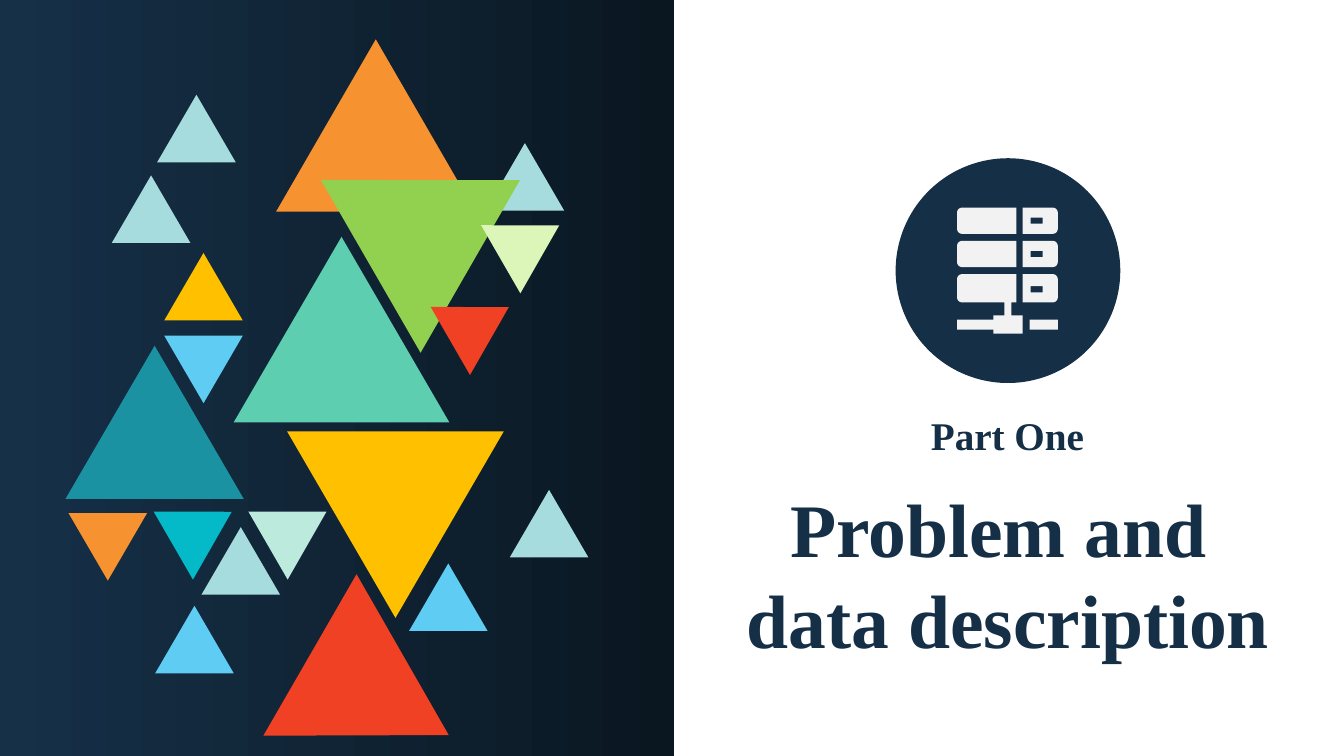
from math import cos, pi, sin
from pptx import Presentation
from pptx.dml.color import RGBColor
from pptx.enum.shapes import MSO_SHAPE
from pptx.enum.text import MSO_ANCHOR, MSO_AUTO_SIZE, PP_ALIGN
from pptx.util import Inches, Pt

NAVY = RGBColor(0x15, 0x2F, 0x47)
PANEL_LEFT = RGBColor(0x16, 0x30, 0x48)
PANEL_RIGHT = RGBColor(0x0A, 0x17, 0x21)
ICON_GREY = RGBColor(0xF2, 0xF2, 0xF2)
MIST = RGBColor(0xA7, 0xDC, 0xDE)
MINT = RGBColor(0xBC, 0xEB, 0xDE)
SEA = RGBColor(0x5D, 0xCE, 0xAF)
TEAL = RGBColor(0x1A, 0x92, 0xA2)
SKY = RGBColor(0x5E, 0xCC, 0xF3)
ORANGE = RGBColor(0xF6, 0x92, 0x30)
GREEN = RGBColor(0x92, 0xD0, 0x50)
LIME = RGBColor(0xDB, 0xF6, 0xB8)
CYAN = RGBColor(0x05, 0xBA, 0xC8)
GOLD = RGBColor(0xFF, 0xC0, 0x00)
RED = RGBColor(0xF1, 0x41, 0x24)


def add_plain(shapes, preset, left, top, width, height, color=None):
    shape = shapes.add_shape(preset, Inches(left), Inches(top), Inches(width), Inches(height))
    shape.shadow.inherit = False
    shape.line.fill.background()
    if color is not None:
        shape.fill.solid()
        shape.fill.fore_color.rgb = color
    return shape


def box_outline(left, top, right, bottom, left_radius=0, right_radius=0):
    """Clockwise points of a box, with optional rounded left or right corners."""
    corners = [(left, top, left_radius, 1, 1), (right, top, right_radius, -1, 1),
               (right, bottom, right_radius, -1, -1), (left, bottom, left_radius, 1, -1)]
    points = []
    for quarter, (x, y, radius, to_right, to_bottom) in enumerate(corners):
        for step in range(7 if radius else 1):
            angle = pi + (quarter + step / 6) * pi / 2
            points.append((x + radius * (to_right + cos(angle)),
                           y + radius * (to_bottom + sin(angle))) if radius else (x, y))
    return points


prs = Presentation()
prs.slide_width, prs.slide_height = Inches(13.34), Inches(7.5)
slide = prs.slides.add_slide(prs.slide_layouts[0])

# Dark gradient panel
panel = add_plain(slide.shapes, MSO_SHAPE.RECTANGLE, 0, 0, 6.69, 7.5)
panel.fill.gradient()
panel.fill.gradient_angle = 0
for stop, color in zip(panel.fill.gradient_stops, (PANEL_LEFT, PANEL_RIGHT)):
    stop.color.rgb = color

# Section title and part number
headings = [
    (slide.shapes.title, (7.31, 4.73, 5.39, 1.9), 54, ["Problem and ", "data description"]),
    (slide.placeholders[1], (9.14, 4.03, 1.72, 0.57), 28, ["Part One"]),
]
for heading, box, size, lines in headings:
    heading.left, heading.top, heading.width, heading.height = map(Inches, box)
    frame = heading.text_frame
    frame.word_wrap = False
    frame.auto_size = MSO_AUTO_SIZE.NONE
    frame.vertical_anchor = MSO_ANCHOR.TOP
    frame.margin_left = frame.margin_right = 0
    for index, line in enumerate(lines):
        paragraph = frame.add_paragraph() if index else frame.paragraphs[0]
        paragraph.alignment = PP_ALIGN.CENTER
        paragraph.space_before = Pt(0)
        paragraph.line_spacing = 1.0
        run = paragraph.add_run()
        run.text = line
        run.font.name = "Times New Roman"
        run.font.size = Pt(size)
        run.font.bold = True
        run.font.color.rgb = NAVY

# Server badge: disc and one outline with slots cut out
badge = slide.shapes.add_group_shape()
add_plain(badge.shapes, MSO_SHAPE.OVAL, 8.89, 1.57, 2.23, 2.23, NAVY)

outlines = []
for top, bottom, slot_top in [(2.06, 2.32, 2.16), (2.39, 2.65, 2.49), (2.72, 3, 2.84)]:
    outlines.append(box_outline(9.5, top, 10.09, bottom, left_radius=0.05))
    outlines.append(box_outline(10.15, top, 10.5, bottom, right_radius=0.05))
    outlines.append(box_outline(10.23, slot_top, 10.35, slot_top + 0.06))
outlines.append(box_outline(10.22, 3.17, 10.5, 3.27))
outlines.append([(9.97, 3), (10.04, 3), (10.04, 3.13), (10.15, 3.13), (10.15, 3.31), (9.86, 3.31),
                 (9.86, 3.27), (9.5, 3.27), (9.5, 3.17), (9.86, 3.17), (9.86, 3.13), (9.97, 3.13)])

builder = None
for outline in outlines:
    start, *rest = [(Inches(x), Inches(y)) for x, y in outline]
    if builder is None:
        builder = badge.shapes.build_freeform(*start)
    else:
        builder.move_to(*start)
    builder.add_line_segments(rest, close=True)
server = builder.convert_to_shape()
server.shadow.inherit = False
server.fill.solid()
server.fill.fore_color.rgb = ICON_GREY
server.line.fill.background()

# Triangle mosaic, back to front: left, top, width, height, rotation, colour
SMALL = (0.78, 0.67)
triangles = [
    (1.11, 1.74, *SMALL, 0, MIST),
    (4.82, 1.42, *SMALL, 0, MIST),
    (2.56, 4.91, *SMALL, 60, MINT),
    (2.32, 2.35, 2.14, 1.84, 0, SEA),
    (0.65, 3.43, 1.77, 1.52, 0, TEAL),
    (2, 5.23, *SMALL, 0, MIST),
    (1.54, 6.01, *SMALL, 0, SKY),
    (2.74, 0.39, 1.98, 1.71, 0, ORANGE),
    (1.56, 0.94, *SMALL, 0, MIST),
    (3.43, 1.36, 1.98, 1.71, 60, GREEN),
    (4.87, 2.07, *SMALL, 60, LIME),
    (1.62, 4.91, *SMALL, 60, CYAN),
    (0.68, 5.09, *SMALL, 180, ORANGE),
    (1.63, 2.51, *SMALL, 0, GOLD),
    (1.63, 3.33, *SMALL, 180, SKY),
    (4.37, 2.88, *SMALL, 60, RED),
    (2.84, 6.1, 1.85, 1.59, 120, RED),
    (5.06, 4.86, *SMALL, 0, MIST),
    (2.85, 4.28, 2.15, 1.85, 180, GOLD),
    (4.06, 5.59, *SMALL, 0, SKY),
]
for left, top, width, height, rotation, color in triangles:
    triangle = add_plain(slide.shapes, MSO_SHAPE.ISOSCELES_TRIANGLE, left, top, width, height, color)
    triangle.rotation = rotation

prs.save("out.pptx")
